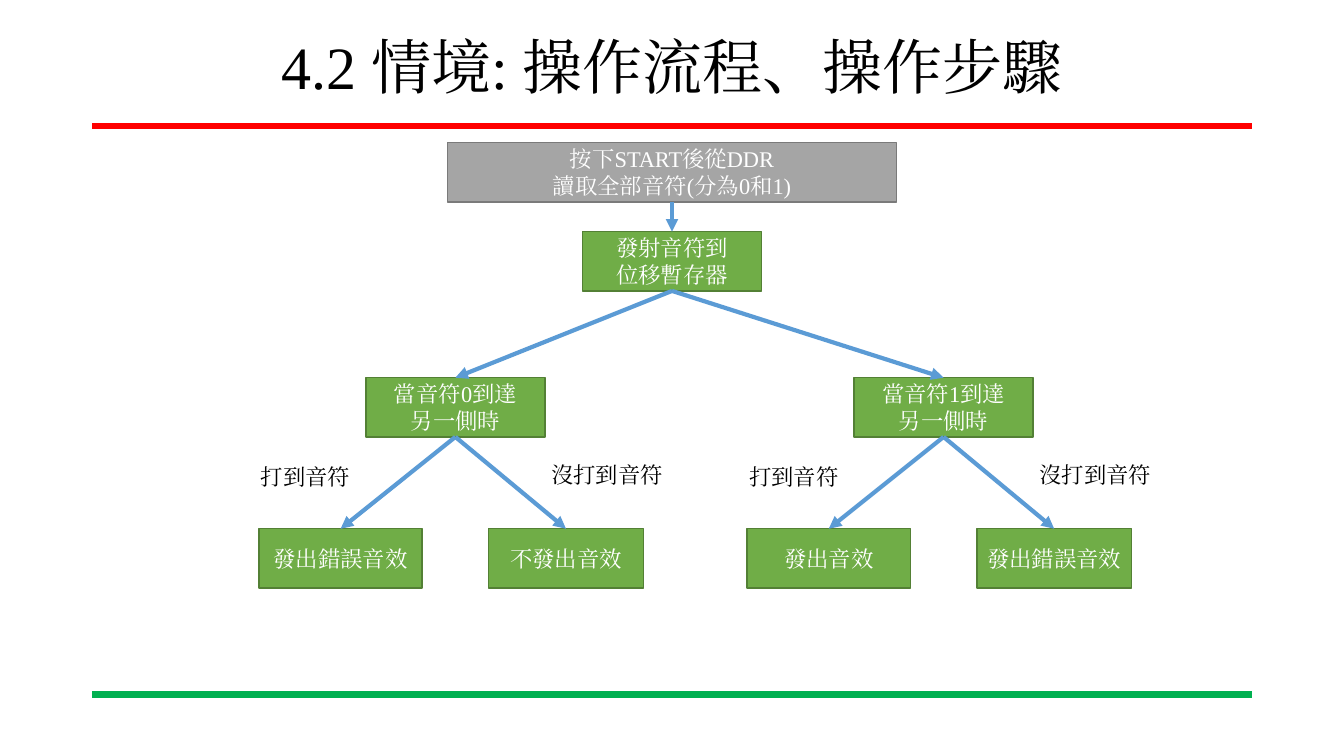
"""Build the slide showing the operating flow of the note game as a decision tree."""
import pptx
import pptx.util
import pptx.dml.color
import pptx.enum.shapes
import pptx.enum.text
import pptx.oxml
import pptx.oxml.ns

Pt = pptx.util.Pt
RGB = pptx.dml.color.RGBColor.from_string
ALIGN = pptx.enum.text.PP_ALIGN
ANCHOR = pptx.enum.text.MSO_ANCHOR
FONT = "Times New Roman"
COLORS = {
    "red": "FF0000", "bottom": "00B050", "arrow": "5B9BD5",
    "gray": "A5A5A5", "gray_edge": "7A7A7A",
    "green": "70AD47", "green_edge": "538035",
    "white": "FFFFFF", "black": "000000",
}


def write(sp, text, color, size=16, align=ALIGN.CENTER, **frame):
    tf = sp.text_frame
    for name, value in frame.items():
        setattr(tf, name, value)
    tf.text = text
    for p in tf.paragraphs:
        p.alignment = align
        for r in p.runs:
            for name, value in {"size": Pt(size), "name": FONT}.items():
                setattr(r.font, name, value)
            r.font.color.rgb = RGB(COLORS[color])
            ea = pptx.oxml.parse_xml(
                f'<a:ea {pptx.oxml.ns.nsdecls("a")} typeface="{FONT}"/>')
            r.font._element.find(pptx.oxml.ns.qn("a:latin")).addnext(ea)


def connect(x1, y1, x2, y2, color, width, arrow=False):
    s = slide.shapes.add_connector(
        pptx.enum.shapes.MSO_CONNECTOR.STRAIGHT, Pt(x1), Pt(y1), Pt(x2), Pt(y2))
    s.line.color.rgb = RGB(COLORS[color])
    s.line.width = Pt(width)
    ns = pptx.oxml.ns.nsdecls("a")
    if arrow:
        s.line._get_or_add_ln().append(
            pptx.oxml.parse_xml(f'<a:tailEnd {ns} type="triangle"/>'))
    s._element.spPr.append(pptx.oxml.parse_xml(f"<a:effectLst {ns}/>"))


prs = pptx.Presentation()
prs.slide_width, prs.slide_height = Pt(960), Pt(540)
slide = prs.slides.add_slide(prs.slide_layouts[6])

for y, color in ((90, "red"), (496, "bottom")):
    connect(66, y, 894, y, color, 4.5)

title = slide.shapes.add_textbox(Pt(66), Pt(21.6), Pt(828), Pt(56.9))
write(title, "4.2 情境: 操作流程、操作步驟", "black", 42.9,
      word_wrap=True, vertical_anchor=ANCHOR.MIDDLE)
title.text_frame.paragraphs[0].line_spacing = 0.9

MIDDLE = 480
BOX_H = 42.3
START_Y, EMIT_Y, NOTE_Y, LEAF_Y = 102, 165.5, 269.8, 377.7
boxes = [
    (MIDDLE, START_Y, 320.4, "按下START後從DDR\n讀取全部音符(分為0和1)", "gray"),
    (MIDDLE, EMIT_Y, 127.8, "發射音符到\n位移暫存器", "green"),
]
arrows = [(MIDDLE, START_Y, MIDDLE, EMIT_Y)]
labels = []
for note, x, hit, miss in ((0, 325.3, "發出錯誤音效", "不發出音效"),
                           (1, 674, "發出音效", "發出錯誤音效")):
    boxes.append((x, NOTE_Y, 127.8, f"當音符{note}到達\n另一側時", "green"))
    arrows.append((MIDDLE, EMIT_Y, x, NOTE_Y))
    for dx, width, result in ((-82, 116.6, hit), (79, 110.4, miss)):
        boxes.append((x + dx, LEAF_Y, width, result, "green"))
        arrows.append((x, NOTE_Y, x + dx, LEAF_Y))
    labels += [(x - 146, 327.6, 93.6, "打到音符", True),
               (x + 61.4, 326.2, 95, "沒打到音符", False)]

for x, y, width, text, color in boxes:
    sp = slide.shapes.add_shape(
        pptx.enum.shapes.MSO_SHAPE.RECTANGLE,
        Pt(x - width / 2), Pt(y), Pt(width), Pt(BOX_H))
    sp.shadow.inherit = False
    sp.fill.solid()
    sp.fill.fore_color.rgb = RGB(COLORS[color])
    sp.line.color.rgb = RGB(COLORS[f"{color}_edge"])
    sp.line.width = Pt(1)
    write(sp, text, "white", vertical_anchor=ANCHOR.MIDDLE,
          margin_left=Pt(3.6), margin_right=Pt(3.6))

for x1, y1, x2, y2 in arrows:
    connect(x1, y1 + BOX_H, x2, y2, "arrow", 3, arrow=True)

for x, y, width, text, wrap in labels:
    sp = slide.shapes.add_textbox(Pt(x), Pt(y), Pt(width), Pt(26.6))
    write(sp, text, "black", align=ALIGN.LEFT, word_wrap=wrap,
          auto_size=pptx.enum.text.MSO_AUTO_SIZE.SHAPE_TO_FIT_TEXT)

prs.save("out.pptx")
